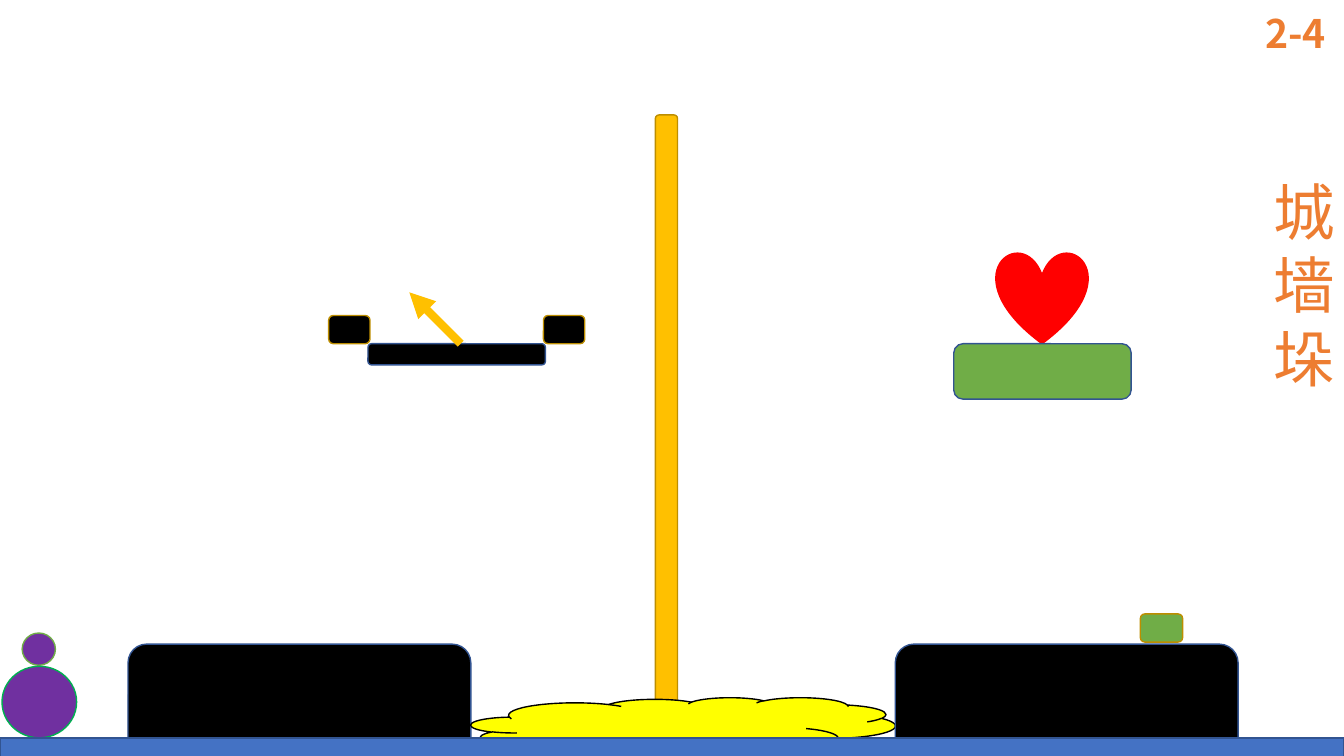
"""Build the 2-4 battlement level slide."""
from dataclasses import dataclass

from lxml import etree
from pptx import Presentation
from pptx.dml.color import RGBColor
from pptx.enum.shapes import MSO_CONNECTOR, MSO_SHAPE
from pptx.enum.text import MSO_ANCHOR, MSO_AUTO_SIZE, PP_ALIGN
from pptx.oxml.ns import qn
from pptx.util import Inches, Pt

OVAL = MSO_SHAPE.OVAL
HEART = MSO_SHAPE.HEART
ROUNDED = MSO_SHAPE.ROUNDED_RECTANGLE
CLOUD = MSO_SHAPE.CLOUD
RECTANGLE = MSO_SHAPE.RECTANGLE
STRAIGHT = MSO_CONNECTOR.STRAIGHT
TOP = MSO_ANCHOR.TOP
LEFT = PP_ALIGN.LEFT
NO_AUTOFIT = MSO_AUTO_SIZE.NONE
TITLE_ONLY_LAYOUT = 5


@dataclass(frozen=True)
class Theme:
    black: str = "000000"
    red: str = "FF0000"
    purple: str = "7030A0"
    green: str = "70AD47"
    bright_green: str = "00B050"
    gold: str = "FFC000"
    dark_gold: str = "BD8E00"
    yellow: str = "FFFF00"
    blue: str = "4472C4"
    dark_blue: str = "325491"
    orange: str = "ED7D31"
    font: str = "Noto Sans CJK JP"
    title_size: int = 44
    level_size: int = 28
    line_pitch: float = 1.2
    outline: int = 1
    arrow: int = 6


@dataclass(frozen=True)
class Piece:
    kind: int
    left: float
    top: float
    width: float
    height: float
    fill: str
    line: str


THEME = Theme()
GROUND_TOP = 7.32
PLATFORM_TOP = 3.41
BLOCK_WIDTH, BLOCK_HEIGHT = 3.4, 1.11
MERLON_WIDTH, MERLON_HEIGHT = 0.41, 0.28

PLAYER = [
    Piece(OVAL, 0.22, 6.28, 0.33, 0.32, THEME.purple, THEME.green),
    Piece(OVAL, 0.02, 6.61, 0.74, GROUND_TOP - 6.61, THEME.purple, THEME.bright_green),
]


def block(left: float) -> Piece:
    """Describe a large wall block standing on the ground."""
    return Piece(ROUNDED, left, 7.5 - BLOCK_HEIGHT, BLOCK_WIDTH, BLOCK_HEIGHT,
                 THEME.black, THEME.dark_blue)


def merlon(left: float) -> Piece:
    """Describe a small tooth on top of the battlement."""
    return Piece(ROUNDED, left, PLATFORM_TOP - MERLON_HEIGHT, MERLON_WIDTH,
                 MERLON_HEIGHT, THEME.black, THEME.dark_gold)


BEHIND_ARROW = [
    Piece(HEART, 9.88, PLATFORM_TOP - 0.91, 0.91, 0.91, THEME.red, THEME.red),
    block(1.27),
    Piece(ROUNDED, 3.65, PLATFORM_TOP, 1.76, 0.21, THEME.black, THEME.dark_blue),
    Piece(ROUNDED, 11.31, 6.09, 0.42, 0.28, THEME.green, THEME.dark_gold),
    Piece(ROUNDED, 6.5, 1.14, 0.22, 6.36, THEME.gold, THEME.dark_gold),
]
BEFORE_ARROW = [
    Piece(ROUNDED, 9.46, PLATFORM_TOP, 1.76, 0.55, THEME.green, THEME.dark_blue),
    Piece(CLOUD, 4.67, 6.92, 4.21, 0.58, THEME.yellow, THEME.black),
    block(8.88),
    Piece(RECTANGLE, 0, GROUND_TOP, 13.33, 0.4, THEME.blue, THEME.dark_blue),
    merlon(5.39),
    merlon(3.26),
]


def color(value: str) -> RGBColor:
    """Convert a hex string to a colour."""
    return RGBColor.from_string(value)


def draw_pieces(shapes, pieces: list[Piece]) -> None:
    """Draw described pieces from back to front."""
    for piece in pieces:
        shape = shapes.add_shape(piece.kind, Inches(piece.left), Inches(piece.top),
                                 Inches(piece.width), Inches(piece.height))
        shape.shadow.inherit = False
        shape.fill.solid()
        shape.fill.fore_color.rgb = color(piece.fill)
        shape.line.color.rgb = color(piece.line)
        shape.line.width = Pt(THEME.outline)


def draw_arrow(shapes) -> None:
    """Draw the launch arrow above the battlement."""
    arrow = shapes.add_connector(STRAIGHT, Inches(4.57), Inches(PLATFORM_TOP),
                                 Inches(4.06), Inches(2.9))
    arrow.line.color.rgb = color(THEME.gold)
    arrow.line.width = Pt(THEME.arrow)
    etree.SubElement(arrow.line._get_or_add_ln(), qn("a:tailEnd"), type="triangle")
    etree.SubElement(arrow._element.spPr, qn("a:effectLst"))


def write_text(shape, text: str, size: int, bold: bool) -> None:
    """Write one orange run at the top left of a shape."""
    frame = shape.text_frame
    frame.word_wrap = True
    frame.auto_size = NO_AUTOFIT
    frame.vertical_anchor = TOP
    paragraph = frame.paragraphs[0]
    paragraph.alignment = LEFT
    paragraph.line_spacing = Pt(size * THEME.line_pitch)
    run = paragraph.add_run()
    run.text = text
    run.font.size = Pt(size)
    run.font.bold = bold
    run.font.color.rgb = color(THEME.orange)
    run.font.name = THEME.font
    etree.SubElement(run.font._element, qn("a:ea"), typeface=THEME.font)


def main() -> None:
    """Build and save the presentation."""
    presentation = Presentation()
    presentation.slide_width = Inches(13.33)
    presentation.slide_height = Inches(7.5)
    slide = presentation.slides.add_slide(presentation.slide_layouts[TITLE_ONLY_LAYOUT])
    shapes = slide.shapes

    draw_pieces(shapes.add_group_shape().shapes, PLAYER)
    draw_pieces(shapes, BEHIND_ARROW)
    draw_arrow(shapes)
    draw_pieces(shapes, BEFORE_ARROW)

    title = shapes.title
    title.left, title.top = Inches(12.53), Inches(1.67)
    title.width, title.height = Inches(0.71), Inches(1.51)
    write_text(title, "城墙垛", THEME.title_size, False)
    level = shapes.add_textbox(Inches(12.45), Inches(0.04), Inches(1.76), Inches(0.57))
    write_text(level, "2-4", THEME.level_size, True)

    presentation.save("out.pptx")


if __name__ == "__main__":
    main()
